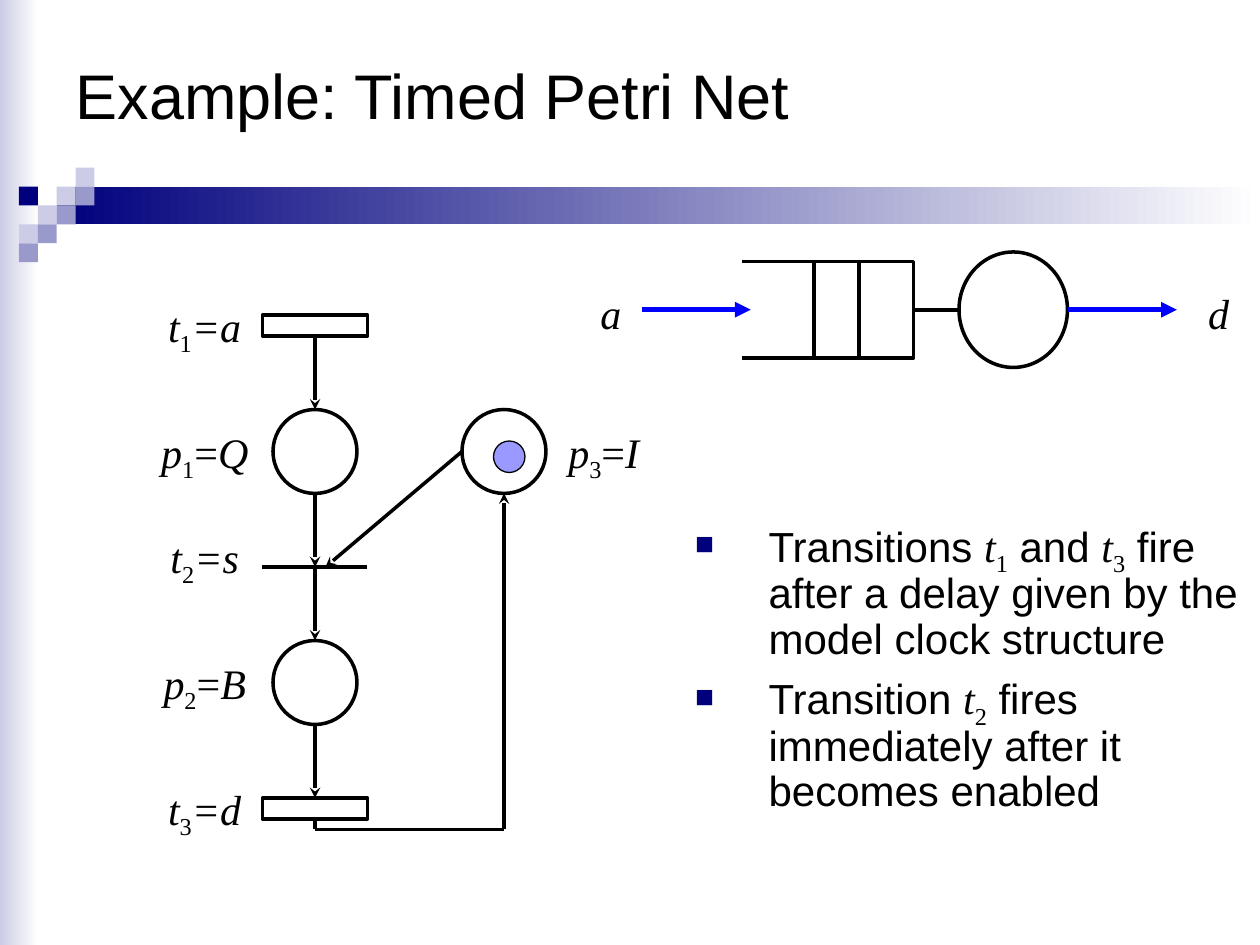
from pptx import Presentation
from pptx.dml.color import RGBColor
from pptx.enum.shapes import MSO_CONNECTOR as Connector, MSO_SHAPE as Shape
from pptx.enum.text import MSO_ANCHOR as Anchor, MSO_AUTO_SIZE as AutoSize, PP_ALIGN as Align
from pptx.oxml.ns import qn
from pptx.util import Pt
from lxml.etree import SubElement

BLACK, WHITE, NAVY, LILAC, SLATE, BLUE = "000000", "FFFFFF", "00007D", "CCCCE6", "9999CC", "0000FF"
SANS, SERIF = "Arial", "Times New Roman"
PLAIN, ROMAN, ITALIC, SUB = "plain", "roman", "italic", "sub"


def color(value):
    return RGBColor.from_string(value)


def symbol(letter, index):
    return [(letter, ITALIC), (index, SUB)]


class Drawing:
    text_size = 24
    stroke = 2

    def __init__(self, deck):
        self.page = deck.slides.add_slide(deck.slide_layouts[1])
        self.shapes = self.page.shapes

    def place(self, box, left, top, width, height):
        box.left, box.top, box.width, box.height = Pt(left), Pt(top), Pt(width), Pt(height)

    def fill_para(self, para, spans, font, size=text_size):
        para.font.size, para.font.name = Pt(size), font
        para.font.color.rgb = color(BLACK)
        for text, kind in spans:
            span = para.add_run()
            span.text = text
            span.font.size = Pt(size)
            span.font.name = font if kind == PLAIN else SERIF
            if kind == ITALIC:
                span.font.italic = True
            elif kind == SUB:
                span.font._element.set("baseline", "-25000")

    def title(self, text, *area):
        box = self.shapes.title
        self.place(box, *area)
        frame = box.text_frame
        frame.auto_size, frame.vertical_anchor = AutoSize.NONE, Anchor.MIDDLE
        para = frame.paragraphs[0]
        para.alignment = Align.LEFT
        self.fill_para(para, [(text, PLAIN)], SANS, 36)

    def bullets(self, items, *area):
        box = self.page.placeholders[1]
        self.place(box, *area)
        frame = box.text_frame
        frame.auto_size = AutoSize.NONE
        for number, spans in enumerate(items):
            para = frame.add_paragraph() if number else frame.paragraphs[0]
            para.line_spacing, para.space_before = 0.9, Pt(6)
            props = para._p.get_or_add_pPr()
            props.set("marL", str(Pt(42)))
            props.set("indent", str(-Pt(42)))
            SubElement(SubElement(props, qn("a:buClr")), qn("a:srgbClr"), val=NAVY)
            SubElement(props, qn("a:buSzPct"), val="75000")
            SubElement(props, qn("a:buFont"), typeface=SANS)
            SubElement(props, qn("a:buChar"), char="■")
            self.fill_para(para, spans, SANS)

    def label(self, spans, left, top, width, height=40, align=Align.CENTER):
        box = self.shapes.add_textbox(Pt(left), Pt(top), Pt(width), Pt(height))
        box.text_frame.word_wrap = True
        para = box.text_frame.paragraphs[0]
        para.alignment = align
        self.fill_para(para, spans, SERIF)

    def shape(self, kind, left, top, width, height, fill=None, line=BLACK, stroke=stroke):
        box = self.shapes.add_shape(kind, Pt(left), Pt(top), Pt(width), Pt(height))
        box.shadow.inherit = False
        if fill:
            box.fill.solid()
            box.fill.fore_color.rgb = color(fill)
        else:
            box.fill.background()
        if line:
            box.line.color.rgb = color(line)
            box.line.width = Pt(stroke)
        else:
            box.line.fill.background()
        return box

    def fade(self, start, *area):
        box = self.shape(Shape.RECTANGLE, *area, line=None)
        box.fill.gradient()
        box.fill.gradient_angle = 0
        for stop, value in zip(box.fill.gradient_stops, (start, WHITE)):
            stop.color.rgb = color(value)

    def line(self, start, end, head=None, value=BLACK, stroke=stroke):
        link = self.shapes.add_connector(Connector.STRAIGHT, *map(Pt, start + end))
        link.line.color.rgb = color(value)
        link.line.width = Pt(stroke)
        props = link._element.spPr
        if head:
            SubElement(props.find(qn("a:ln")), qn("a:tailEnd"), type=head)
        SubElement(props, qn("a:effectLst"))


deck = Presentation()
deck.slide_width, deck.slide_height = Pt(720), Pt(540)
drawing = Drawing(deck)

drawing.fade(LILAC, 0, 0, 22, 540)
drawing.fade(NAVY, 32.4, 106.6, 687.6, 21.6)
TILE = 10.8
for column, row, fill in [(2, 1, LILAC), (3, 0, LILAC), (3, 1, SLATE), (1, 2, LILAC), (0, 1, NAVY),
                          (2, 2, SLATE), (0, 3, LILAC), (1, 3, SLATE), (0, 4, SLATE)]:
    drawing.shape(Shape.RECTANGLE, TILE * (column + 1), 95.8 + TILE * row, TILE, TILE, fill, None)

drawing.title("Example: Timed Petri Net", 36, 0, 648, 108)
drawing.bullets([
    [("Transitions ", PLAIN), *symbol("t", "1"), (" and ", PLAIN), *symbol("t", "3"),
     (" fire after a delay given by the model clock structure", PLAIN)],
    [("Transition ", PLAIN), *symbol("t", "2"),
     (" fires immediately after it becomes enabled", PLAIN)],
], 390, 294, 330, 186)

QUEUE_LEFT, QUEUE_TOP, QUEUE_HEIGHT, FLOW = 465, 149.5, 55, 177
for width in (57, 26):
    drawing.shape(Shape.RECTANGLE, QUEUE_LEFT, QUEUE_TOP, width, QUEUE_HEIGHT)
for y in (QUEUE_TOP, QUEUE_TOP + QUEUE_HEIGHT):
    drawing.line((QUEUE_LEFT, y), (424, y))
drawing.shape(Shape.OVAL, 548, 144, 62, 66)
drawing.line((548, FLOW), (522, FLOW))
for name, arrow_left, label_left in [("a", 367, 336), ("d", 610.5, 683.3)]:
    drawing.line((arrow_left, FLOW), (arrow_left + 62, FLOW), "triangle", BLUE, 3)
    drawing.label([(name, ITALIC)], label_left, 160.5, 31, 36, Align.LEFT)

AXIS, RETURN, PLACE = 180, 288, 48
for top in (192, 282, 324, 414):
    drawing.line((AXIS, top), (AXIS, top + 42), "stealth")
drawing.line((264, 258), (186, 324), "stealth")
drawing.line((RETURN, 474), (RETURN, 282), "stealth")
drawing.line((AXIS, 456), (AXIS, 474))
drawing.line((AXIS, 474), (RETURN, 474))

for index, name, center, top, label_left in [("1", "Q", AXIS, 234, 78), ("2", "B", AXIS, 366, 78),
                                             ("3", "I", RETURN, 234, 306)]:
    drawing.shape(Shape.OVAL, center - PLACE / 2, top, PLACE, PLACE, WHITE)
    drawing.label([*symbol("p", index), ("=", ROMAN), (name, ITALIC)], label_left, top + 6, 78)
drawing.shape(Shape.OVAL, 282, 252, 18, 18, "9999FF", stroke=0.75)

for index, name, top, label_top in [("1", "a", 180, 168), ("2", "s", 324, 300), ("3", "d", 456, 444)]:
    if name == "s":
        drawing.line((AXIS - 30, top), (AXIS + 30, top))
    else:
        drawing.shape(Shape.RECTANGLE, AXIS - 30, top, 60, 12, WHITE)
    drawing.label([*symbol("t", index), (f"={name}", ITALIC)], 84, label_top, 66)

deck.save("out.pptx")
